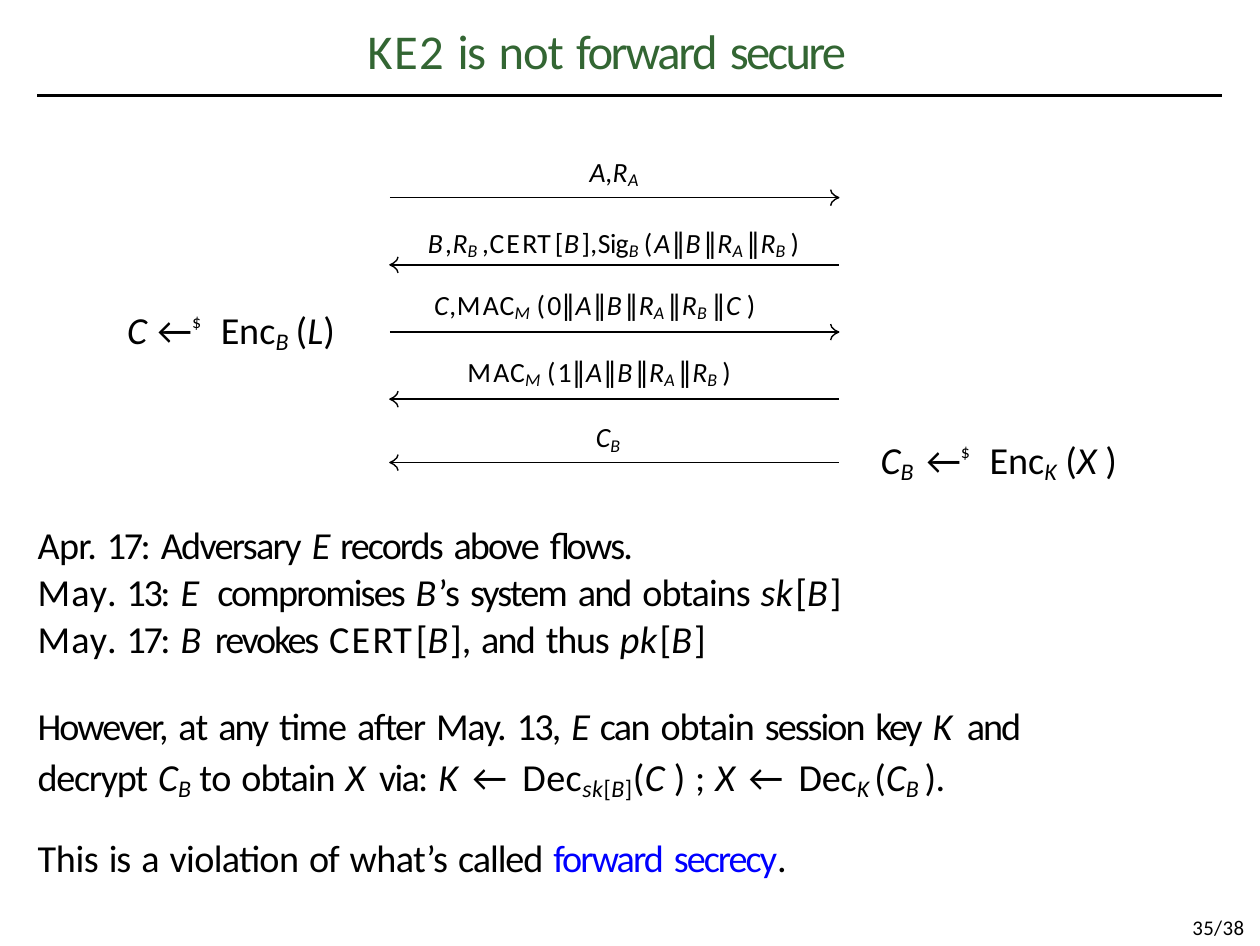
"""Build the slide on why KE2 is not forward secure."""
from pptx import Presentation
from pptx.dml.color import RGBColor
from pptx.enum.shapes import MSO_CONNECTOR
from pptx.oxml.ns import qn
from pptx.util import Pt
from lxml.etree import SubElement

BLACK = RGBColor(0x00, 0x00, 0x00)
GREEN = RGBColor(0x33, 0x66, 0x33)
BLUE = RGBColor(0x00, 0x00, 0xFF)
FONT = "Calibri"
WIDTH, HEIGHT = Pt(363), Pt(272.5)

# Spans are (text, style, letter spacing): i italic, s subscript, u superscript, b blue
BAR = ("∥", "", -0.4)
A, B = ("A", "i", 0.3), ("B", "i", 0.7)
R = ("R", "i", -0.3)
RA = [R, ("A", "is", 1)]
RB = [R, ("B ", "is", 0.3)]
CLOSE = (")", "", 0.6)
THIN = (" ", "", -0.4)
MAC = [("M", "", 0.6), ("A", "", 0.2), ("C", "", -0.5), ("M ", "is", 0.8), ("(", "", 0.6)]
NONCES = [BAR, A, BAR, B, BAR, *RA, BAR, *RB]
CERT = [("CE", "", 0.6), ("R", "", -0.2), ("T", "", 1.1)]
KEY_OWNER = [("[", "", -1.1), ("B", "i", 0.5), ("]", "", -1.1)]
MAY = [("M", "", 0.3), ("a", "", -0.1), ("y", "", -1.4), (". ", "", -0.3)]
SAMPLE = [("←", "", -4.3), ("$", "u", -0.3), (" ", "u", 4.5), ("En", "", -0.1), ("c", "", -0.2)]
ASSIGN = ("← ", "", 1.6)

TITLE = [("KE2 ", "", 0.4), ("is ", "", -0.4), ("not ", "", -0.3), ("forward ", "", -0.7),
         ("secure", "", -0.8)]

# Arrow height, heading right, label left, label top, label spans
FLOWS = [
    (20.9, True, 46.8, 15.95, [("A,R", "i", 0), ("A", "is", 0)]),
    (28, False, 33.97, 23.45,
     [B, (",", "i", -0.1), R, ("B", "is", 1.5), (",", "i", -0.1), *CERT, ("[", "", 0.2), B,
      ("]", "", 0.2), (",", "i", -0.1), ("Sig", "", -0.2), ("B ", "is", 0.3), ("(", "", 0.6),
      A, BAR, B, BAR, *RA, BAR, *RB, CLOSE]),
    (35.1, True, 34.45, 30.05,
     [("C", "i", 0.4), (",", "i", -0.1), *MAC, ("0", "", -0.2), *NONCES, BAR, ("C", "i", -0.1),
      THIN, CLOSE]),
    (42.2, False, 37.1, 37.1, [*MAC, ("1", "", -0.2), *NONCES, CLOSE]),
    (48.9, False, 47.3, 44.05, [("C", "i", -0.1), ("B", "is", -0.1)]),
]

# Left, top, width, spans
ENCRYPTIONS = [
    (10.08, 32.05, 19, [("C", "i", -1), (" ", "i", 0.5), *SAMPLE, ("B ", "is", 0.4),
                        ("(", "", -0.1), ("L", "i", -0.3), (")", "", 0)]),
    (69.9, 45.75, 22, [("C", "i", -1.1), ("B", "is", 0.4), (" ", "is", 1.6), *SAMPLE,
                       ("K ", "is", 0.8), ("(", "", -0.1), ("X", "i", -0.1), THIN,
                       (")", "", 0)]),
]

# Space before, line spacing, spans
ARGUMENT = [
    (0, 1, [("Apr. ", "", -0.2), ("17: ", "", -0.7), ("Adversary ", "", -0.5), ("E ", "i", -0.8),
            ("records above ", "", -0.6), ("flows.", "", -0.5)]),
    (0, 1.03, [*MAY, ("13: ", "", -0.7), ("E", "i", -0.8), (" ", "", 2.7),
               ("compromises ", "", -0.57), ("B", "i", 0.5), ("’s ", "", -0.1),
               ("system and ", "", -0.58), ("obtains ", "", -0.3), ("s", "i", 0),
               ("k", "i", 0.7), *KEY_OWNER]),
    (0, 1.03, [*MAY, ("17: ", "", -0.7), ("B ", "i", -0.1), ("revokes ", "", -0.7), *CERT,
               *KEY_OWNER, (", ", "", -0.3), ("and ", "", -0.55), ("thus ", "", -0.4),
               ("p", "i", 0.1), ("k", "i", 0.7), *KEY_OWNER]),
    (11.5, 1.03, [("However, ", "", -0.6), ("at ", "", -0.2), ("any ", "", -0.6),
                  ("time ", "", -0.3), ("after May. ", "", -0.4), ("13, ", "", -0.5),
                  ("E ", "i", -0.8), ("can ", "", -0.5), ("obtain ", "", -0.3),
                  ("session ", "", -0.6), ("key ", "", -0.7), ("K ", "i", 0.2),
                  ("and ", "", -0.6), ("decrypt ", "", -0.4), ("C", "i", -0.4),
                  ("B", "is", -0.6), (" ", "is", 0.7), ("to ", "", -0.1), ("obtain ", "", -0.3),
                  ("X ", "i", -0.1), ("via: ", "", -0.5), ("K ", "i", 0.2), ASSIGN,
                  ("Dec", "", 0.1), ("sk", "is", 0.1), ("[", "s", 0.1), ("B", "is", 0.1),
                  ("]", "s", 0.1), ("(", "", 0.1), ("C", "i", 0.1), THIN, (") ", "", 0),
                  ("; ", "", -0.9), ("X ", "i", -0.1), ASSIGN, ("Dec", "", -0.1),
                  ("K ", "is", -0.1), ("(", "", -0.2), ("C", "i", -0.2), ("B ", "is", -0.4),
                  (").", "", -0.2)]),
    (9.2, 1, [("This ", "", -0.1), ("is ", "", -0.3), ("a ", "", -0.6), ("violation ", "", -0.2),
              ("of ", "", -0.3), ("what’s ", "", -0.2), ("called ", "", -0.3),
              ("forward secrecy", "b", -0.6), (".", "", -0.6)]),
]
BASELINES = {"s": "-14000", "u": "51000"}
WORD_GAPS = {"i": 1.4, "is": -0.1}
HEAD = [(-0.65, -0.85), (-0.55, -0.5), (-0.3, -0.2), (0, 0), (-0.3, 0.2), (-0.55, 0.5),
        (-0.65, 0.85)]


def across(share):
    return round(WIDTH * share / 100)


def down(share):
    return round(HEIGHT * share / 100)


def split_gaps(spans):
    for text, style, tracking in spans:
        words = text.split(" ") if text.strip() else [text]
        for index, word in enumerate(words):
            if index:
                gap = 0.3 if text == "E " else WORD_GAPS.get(style, 0.35)
                yield " ", style, gap
            if word:
                yield word, style, tracking


def add_text(page, paragraphs, *, left, top, width, height, size, color=BLACK):
    box = page.shapes.add_textbox(across(left), down(top), across(width), down(height))
    frame = box.text_frame
    frame.word_wrap = True
    frame.margin_left = frame.margin_right = frame.margin_top = frame.margin_bottom = 0
    for index, (before, spacing, spans) in enumerate(paragraphs):
        para = frame.add_paragraph() if index else frame.paragraphs[0]
        para.space_before, para.line_spacing = Pt(before), spacing
        for text, style, tracking in split_gaps(spans):
            span = para.add_run()
            span.text = text
            font = span.font
            font.name, font.italic = FONT, "i" in style
            font.size = Pt(size + 1 if "s" in style else 9 if "u" in style else size)
            font.color.rgb = BLUE if "b" in style else color
            properties = span._r.get_or_add_rPr()
            properties.set("spc", str(round(tracking * 100)))
            for mark, baseline in BASELINES.items():
                if mark in style:
                    properties.set("baseline", baseline)


def add_line(page, left, right, top, weight):
    line = page.shapes.add_connector(MSO_CONNECTOR.STRAIGHT, across(left), down(top),
                                     across(right), down(top))
    line.line.color.rgb, line.line.width = BLACK, Pt(weight)
    SubElement(line._element.spPr, qn("a:effectLst"))


def add_arrow(page, top, rightward, left=30.95, right=66.57):
    add_line(page, left, right, top, 0.4)
    tip, side = (right, 1) if rightward else (left, -1)
    points = [(across(tip + side * x), down(top + y)) for x, y in HEAD]
    builder = page.shapes.build_freeform(*points[0])
    builder.add_line_segments(points[1:], close=False)
    head = builder.convert_to_shape()
    head.shadow.inherit = False
    head.fill.background()
    head.line.color.rgb, head.line.width = BLACK, Pt(0.4)


def main():
    deck = Presentation()
    deck.slide_width = WIDTH
    deck.slide_height = HEIGHT
    page = deck.slides.add_slide(deck.slide_layouts[6])
    add_text(page, [(0, 1, TITLE)], left=29.17, top=2.2, width=42, height=6.4, size=14,
             color=GREEN)
    add_line(page, 2.98, 97.02, 10.11, 1)
    for arrow_top, rightward, left, top, spans in FLOWS:
        add_arrow(page, arrow_top, rightward)
        add_text(page, [(0, 1, spans)], left=left, top=top, width=32, height=3.7, size=8)
    for left, top, width, spans in ENCRYPTIONS:
        add_text(page, [(0, 1, spans)], left=left, top=top, width=width, height=5, size=11)
    add_text(page, ARGUMENT, left=2.98, top=55.1, width=83, height=38, size=11)
    add_text(page, [(0, 1, [("35/38", "", 0.1)])], left=94.64, top=96.7, width=5.3, height=2.7,
             size=6)
    deck.save("out.pptx")


if __name__ == "__main__":
    main()
